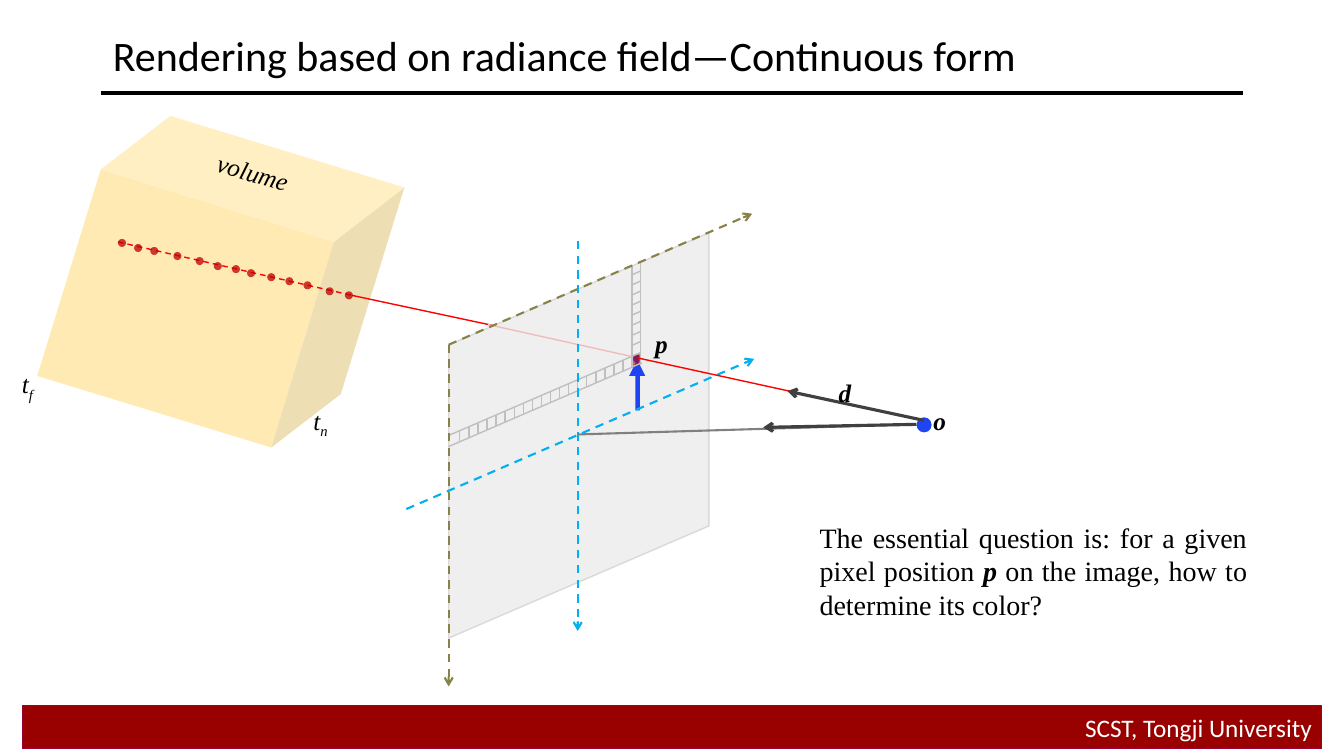
"""Build the slide on continuous radiance field rendering."""
from lxml import etree
from pptx import Presentation
from pptx.dml.color import RGBColor
from pptx.enum.dml import MSO_LINE
from pptx.enum.shapes import MSO_CONNECTOR, MSO_SHAPE as SHAPE
from pptx.enum.text import MSO_ANCHOR as ANCHOR, PP_ALIGN as ALIGN
from pptx.oxml.ns import qn
from pptx.util import Emu, Pt

PX = 9144
SERIF, SANS = "Times New Roman", "Calibri"
COLORS = {
    "black": "000000", "white": "FFFFFF", "footer": "990000", "footer_edge": "990033",
    "front": "FFEAB3", "side": "EDDFB3", "top": "FFEFC2", "plane": "EFEFEF",
    "plane_edge": "D9D9D9", "grid": "BFBFBF", "ray": "FF0000", "veiled_ray": "EFBCBC",
    "blue": "1F45F3", "sample": "C00000", "image_axis": "878246",
    "camera_axis": "00B0F0", "gray": "808080", "dark": "404040",
}
TITLE = "Rendering based on radiance field—Continuous form"
FOOTER = "SCST, Tongji University"
QUESTION = [("The essential question is: for a given pixel position ", False),
            ("p", True), (" on the image, how to determine its color?", False)]
VOLUME_FACES = [
    ("front", [(100, 168), (331, 240), (269, 444), (37, 373)]),
    ("side", [(331, 240), (401, 186), (338, 391), (269, 444)]),
    ("top", [(100, 168), (169, 115), (401, 186), (331, 240)]),
]
ROW_EDGES = [((635, 350), (445, 432)), ((637, 360), (445, 443))]
COLUMN_EDGES = [((635, 260), (635, 362)), ((627, 263), (627, 365))]
PIXEL_MARKER = [
    (SHAPE.UP_ARROW, (628, 368, 9, 39)),
    (SHAPE.ISOSCELES_TRIANGLE, (624, 357, 16, 16)),
    (SHAPE.OVAL, (628, 352, 8, 8)),
]
AXES = [
    ("image_axis", (445, 342), (746, 212)),
    ("image_axis", (445, 342), (445, 681)),
    ("camera_axis", (403, 505), (748, 356)),
    ("camera_axis", (573, 239), (573, 626)),
]
SAMPLES = [(117, 237), (133, 242), (149, 245), (172, 250), (194, 255), (212, 260), (230, 263),
           (245, 267), (265, 271), (283, 275), (301, 279), (323, 285), (342, 289)]
POINT_LABELS = [("o", 916, 397), ("p", 640, 321), ("d", 822, 369)]
DEPTH_LABELS = [("t", "n", 301, 397), ("t", "f", 12, 361)]


def rgb(name):
    return RGBColor.from_string(COLORS[name])


def emu(*lengths):
    return [Emu(length * PX) for length in lengths]


def paint(shape, fill, edge=None, width=1, alpha=None):
    shape.shadow.inherit = False
    shape.fill.solid()
    shape.fill.fore_color.rgb = rgb(fill)
    if alpha:
        color = shape.fill._xPr.find(".//" + qn("a:srgbClr"))
        etree.SubElement(color, qn("a:alpha"), val=str(alpha * 1000))
    if edge:
        shape.line.color.rgb = rgb(edge)
        shape.line.width = Pt(width)
    else:
        shape.line.fill.background()


def add_preset(shapes, kind, box, fill, **style):
    shape = shapes.add_shape(kind, *emu(*box))
    paint(shape, fill, **style)
    return shape


def add_upright_parallelogram(shapes, box, slant, fill, **style):
    shape = add_preset(shapes, SHAPE.PARALLELOGRAM, box, fill, **style)
    shape.adjustments[0] = slant
    shape.rotation = 270
    shape._element.spPr.find(qn("a:xfrm")).set("flipH", "1")


def add_line(shapes, start, end, color, width=1, dash=False, arrow=False):
    connector = shapes.add_connector(MSO_CONNECTOR.STRAIGHT, *emu(*start, *end))
    connector.line.color.rgb = rgb(color)
    connector.line.width = Pt(width)
    if dash:
        connector.line.dash_style = MSO_LINE.DASH
    if arrow:
        etree.SubElement(connector.line._get_or_add_ln(), qn("a:tailEnd"), type="arrow")
    etree.SubElement(connector._element.spPr, qn("a:effectLst"))


def set_font(paragraph, size, name=SERIF, color="black", bold=None, italic=None):
    font = paragraph.font
    font.size, font.name, font.bold, font.italic = Pt(size), name, bold, italic
    font.color.rgb = rgb(color)


def add_label(shapes, text, box, bold=None):
    label = shapes.add_textbox(*emu(*box))
    label.text_frame.word_wrap = False
    paragraph = label.text_frame.paragraphs[0]
    paragraph.add_run().text = text
    set_font(paragraph, 18, bold=bold, italic=True)
    return label


def add_frame(slide):
    shapes = slide.shapes
    add_line(shapes, (100, 92), (1233, 92), "black", 3)
    footer = add_preset(shapes, SHAPE.RECTANGLE, (22, 700, 1289, 43), "footer",
                        edge="footer_edge", width=0.75)
    footer.text_frame.vertical_anchor = ANCHOR.MIDDLE
    paragraph = footer.text_frame.paragraphs[0]
    paragraph.text = FOOTER
    paragraph.alignment = ALIGN.RIGHT
    set_font(paragraph, 18, SANS, "white")

    title = shapes.title
    title.left, title.top, title.width, title.height = emu(102, 8, 1200, 92)
    title.text_frame.vertical_anchor = ANCHOR.MIDDLE
    paragraph = title.text_frame.paragraphs[0]
    paragraph.text = TITLE
    paragraph.alignment = ALIGN.LEFT
    set_font(paragraph, 30, SANS)


def add_volume(shapes):
    for color, corners in VOLUME_FACES:
        builder = shapes.build_freeform(*corners[0], scale=PX)
        builder.add_line_segments(corners[1:], close=True)
        paint(builder.convert_to_shape(), color)
    add_line(shapes, (349, 293), (508, 327), "ray")


def add_image_plane(shapes):
    add_upright_parallelogram(shapes, (373, 303, 402, 258), 0.431, "plane", edge="plane_edge")
    for start, end in ROW_EDGES:
        add_line(shapes, start, end, "grid")
    for x in range(456, 619, 9):
        y = round(357 + (618 - x) * 0.435)
        add_line(shapes, (x, y), (x, y + 11), "grid")
    add_line(shapes, (484, 322), (637, 356), "veiled_ray")
    for kind, box in PIXEL_MARKER:
        add_preset(shapes, kind, box, "blue")
    for start, end in COLUMN_EDGES:
        add_line(shapes, start, end, "grid")
    for y in range(269, 340, 10):
        add_line(shapes, (635, y), (626, y + 4), "grid")
    add_upright_parallelogram(shapes, (624, 353, 14, 8), 0.424, "sample", edge="grid", alpha=59)
    for color, start, end in AXES:
        add_line(shapes, start, end, color, 1.5, dash=True, arrow=True)


def add_camera_and_samples(shapes):
    add_line(shapes, (573, 431), (905, 421), "gray", 1.5)
    add_line(shapes, (909, 421), (757, 424), "dark", 2.25, arrow=True)
    add_line(shapes, (632, 355), (911, 416), "ray")
    add_preset(shapes, SHAPE.OVAL, (909, 414, 15, 15), "blue")
    add_line(shapes, (117, 240), (349, 293), "ray", dash=True)
    for left, top in SAMPLES:
        add_preset(shapes, SHAPE.OVAL, (left, top, 8, 8), "sample", alpha=76)
    add_line(shapes, (916, 417), (781, 388), "dark", 2.25, arrow=True)


def add_texts(shapes):
    for text, left, top in POINT_LABELS:
        add_label(shapes, text, (left, top, 33, 40), bold=True)
    for text, subscript, left, top in DEPTH_LABELS:
        label = add_label(shapes, text, (left, top, 36, 40))
        run = label.text_frame.paragraphs[0].add_run()
        run.text = subscript
        run._r.get_or_add_rPr().set("baseline", "-25000")
    add_label(shapes, "volume", (205, 151, 93, 40)).rotation = 16.6

    question = shapes.add_textbox(*emu(803, 511, 444, 111))
    question.text_frame.word_wrap = True
    paragraph = question.text_frame.paragraphs[0]
    paragraph.alignment = ALIGN.JUSTIFY
    for text, emphasis in QUESTION:
        run = paragraph.add_run()
        run.text = text
        run.font.bold = run.font.italic = emphasis
    set_font(paragraph, 20)


def main():
    presentation = Presentation()
    presentation.slide_width, presentation.slide_height = emu(1333, 750)
    slide = presentation.slides.add_slide(presentation.slide_layouts[5])
    add_frame(slide)
    for add_part in (add_volume, add_image_plane, add_camera_and_samples, add_texts):
        add_part(slide.shapes)
    presentation.save("out.pptx")


if __name__ == "__main__":
    main()
